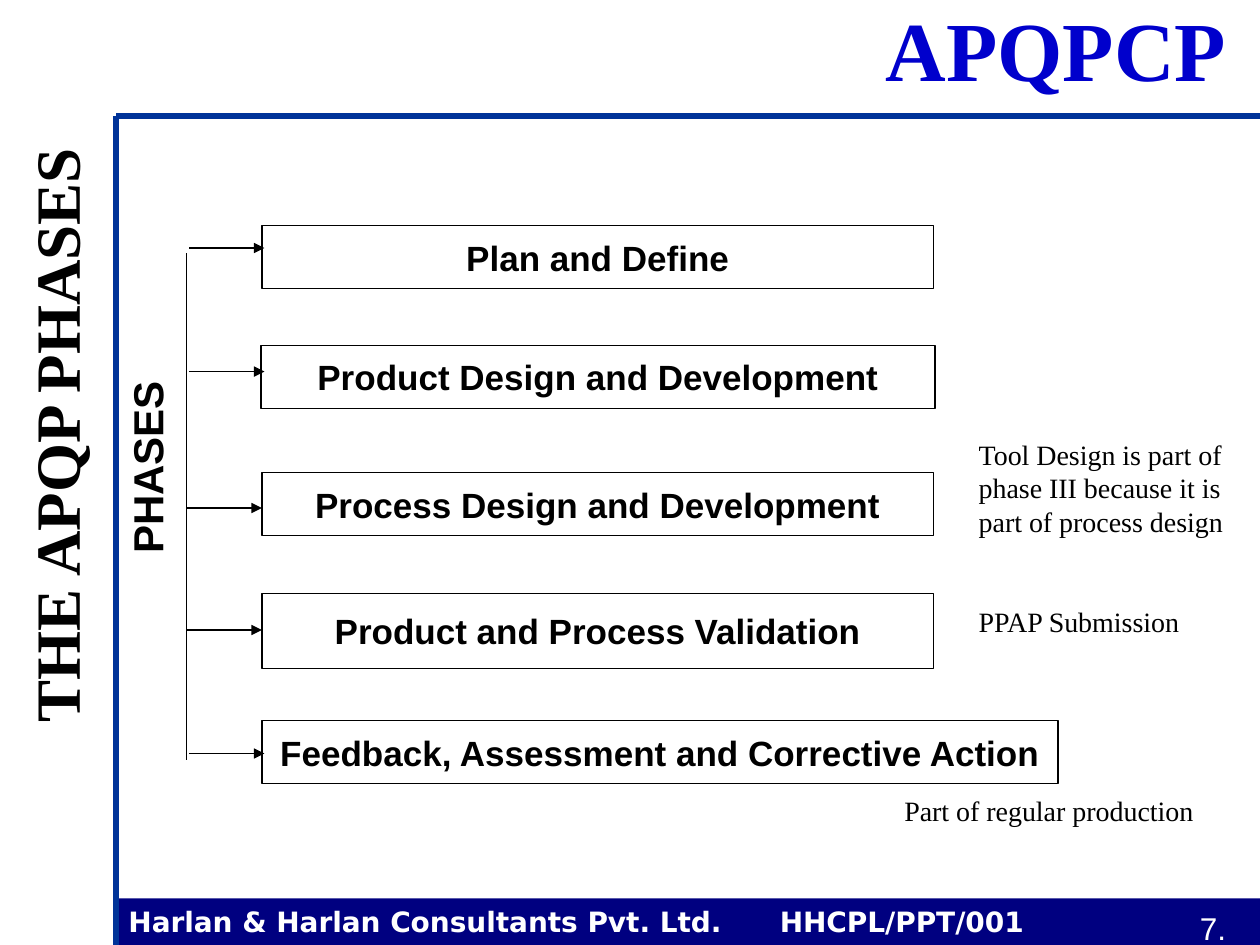
"""Build the APQP phases slide."""
import pptx
import pptx.dml.color
import pptx.enum.shapes
import pptx.enum.text
import pptx.oxml
import pptx.oxml.ns
import pptx.util

Cm = pptx.util.Cm
Pt = pptx.util.Pt
ALIGN = pptx.enum.text.PP_ALIGN
COLORS = {
    "black": "000000",
    "white": "FFFFFF",
    "footer": "000080",
    "frame": "003399",
    "heading": "0000CC",
}
PHASES = [
    ("Plan and Define", (5.28, 4.55, 13.54, 1.27), (3.81, 5)),
    ("Product Design and Development", (5.26, 6.96, 13.59, 1.27), (3.81, 7.49)),
    ("Process Design and Development", (5.28, 9.53, 13.54, 1.27), (3.76, 10.24)),
    ("Product and Process Validation", (5.28, 11.96, 13.54, 1.52), (3.76, 12.7)),
    ("Feedback, Assessment and Corrective Action", (5.28, 14.53, 16.05, 1.27), (3.81, 15.19)),
]
NOTES = [
    ("Tool Design is part of phase III because it is part of process design", (19.48, 8.69, 5.92, 2.29)),
    ("PPAP Submission", (19.48, 12.07, 5.28, 0.94)),
    ("Part of regular production", (17.98, 15.88, 6.99, 0.94)),
]
ARROW_LENGTH = 1.52


def rgb(name):
    """Return the named colour."""
    return pptx.dml.color.RGBColor.from_string(COLORS[name])


def set_text(sp, text, size, font, color="black", bold=False, align=ALIGN.LEFT):
    """Write one formatted paragraph into a shape."""
    tf = sp.text_frame
    tf.word_wrap = True
    p = tf.paragraphs[0]
    p.text = text
    p.alignment = align
    for r in p.runs:
        r.font.size = Pt(size)
        r.font.name = font
        r.font.bold = bold
        r.font.color.rgb = rgb(color)
    return p


def add_label(slide, text, box, size, font, rotation=0, **style):
    """Add a text box."""
    sp = slide.shapes.add_textbox(*map(Cm, box))
    sp.rotation = rotation
    set_text(sp, text, size, font, **style)


def add_box(slide, box, fill, line=None):
    """Add a plain rectangle."""
    sp = slide.shapes.add_shape(pptx.enum.shapes.MSO_SHAPE.RECTANGLE, *map(Cm, box))
    sp.shadow.inherit = False
    sp.fill.solid()
    sp.fill.fore_color.rgb = rgb(fill)
    if line:
        sp.line.color.rgb = rgb(line)
        sp.line.width = Pt(0.75)
    else:
        sp.line.fill.background()
    return sp


def add_line(slide, points, color="black", width=0.75, arrow=False):
    """Add a straight line, with an arrowhead at its end if asked."""
    sp = slide.shapes.add_connector(pptx.enum.shapes.MSO_CONNECTOR.STRAIGHT, *map(Cm, points))
    sp.line.color.rgb = rgb(color)
    sp.line.width = Pt(width)
    if arrow:
        head = pptx.oxml.parse_xml(f'<a:tailEnd {pptx.oxml.ns.nsdecls("a")} type="triangle"/>')
        sp.line._get_or_add_ln().append(head)
    effects = pptx.oxml.parse_xml(f'<a:effectLst {pptx.oxml.ns.nsdecls("a")}/>')
    sp._element.spPr.append(effects)


def add_footer(slide):
    """Add the footer bar with its tabbed document number."""
    sp = add_box(slide, (2.34, 18.11, 23.06, 0.94), "footer")
    text = "Harlan & Harlan Consultants Pvt. Ltd.\tHHCPL/PPT/001"
    p = set_text(sp, text, 16, "DejaVu Sans", "white", True)
    tabs = pptx.oxml.parse_xml(
        f'<a:tabLst {pptx.oxml.ns.nsdecls("a")}><a:tab pos="{Cm(13.13)}" algn="l"/></a:tabLst>'
    )
    p._p.get_or_add_pPr().append(tabs)
    add_label(slide, "7.", (19.89, 18.21, 5.08, 1.02), 18, "Arial", color="white", align=ALIGN.RIGHT)


def add_phase(slide, text, box, start):
    """Add a phase box and the arrow leading to it."""
    sp = add_box(slide, box, "white", "black")
    set_text(sp, text, 20, "Arial", bold=True, align=ALIGN.CENTER)
    sp.text_frame.vertical_anchor = pptx.enum.text.MSO_ANCHOR.MIDDLE
    x, y = start
    add_line(slide, (x, y, x + ARROW_LENGTH, y), arrow=True)


def main():
    """Build and save the slide."""
    prs = pptx.Presentation()
    prs.slide_width, prs.slide_height = Cm(25.4), Cm(19.05)
    slide = prs.slides.add_slide(prs.slide_layouts[6])
    serif = "Times New Roman"

    add_footer(slide)
    add_line(slide, (2.34, 2.34, 2.34, 19.05), "frame", 3)
    add_line(slide, (2.34, 2.34, 25.4, 2.34), "frame", 3)
    add_label(slide, "APQPCP", (9.09, -0.18, 15.88, 2.29), 48, serif,
              color="heading", bold=True, align=ALIGN.RIGHT)
    add_label(slide, "THE APQP PHASES", (-8, 10.95, 18.21, 1.78), 36, serif, 270,
              bold=True, align=ALIGN.RIGHT)
    for text, box, start in PHASES:
        add_phase(slide, text, box, start)
    add_line(slide, (3.76, 5.11, 3.76, 15.32))
    add_label(slide, "PHASES", (0.3, 8.79, 5.31, 1.27), 24, "Arial", 270,
              bold=True, align=ALIGN.CENTER)
    for text, box in NOTES:
        add_label(slide, text, box, 16, serif)
    prs.save("out.pptx")


if __name__ == "__main__":
    main()
